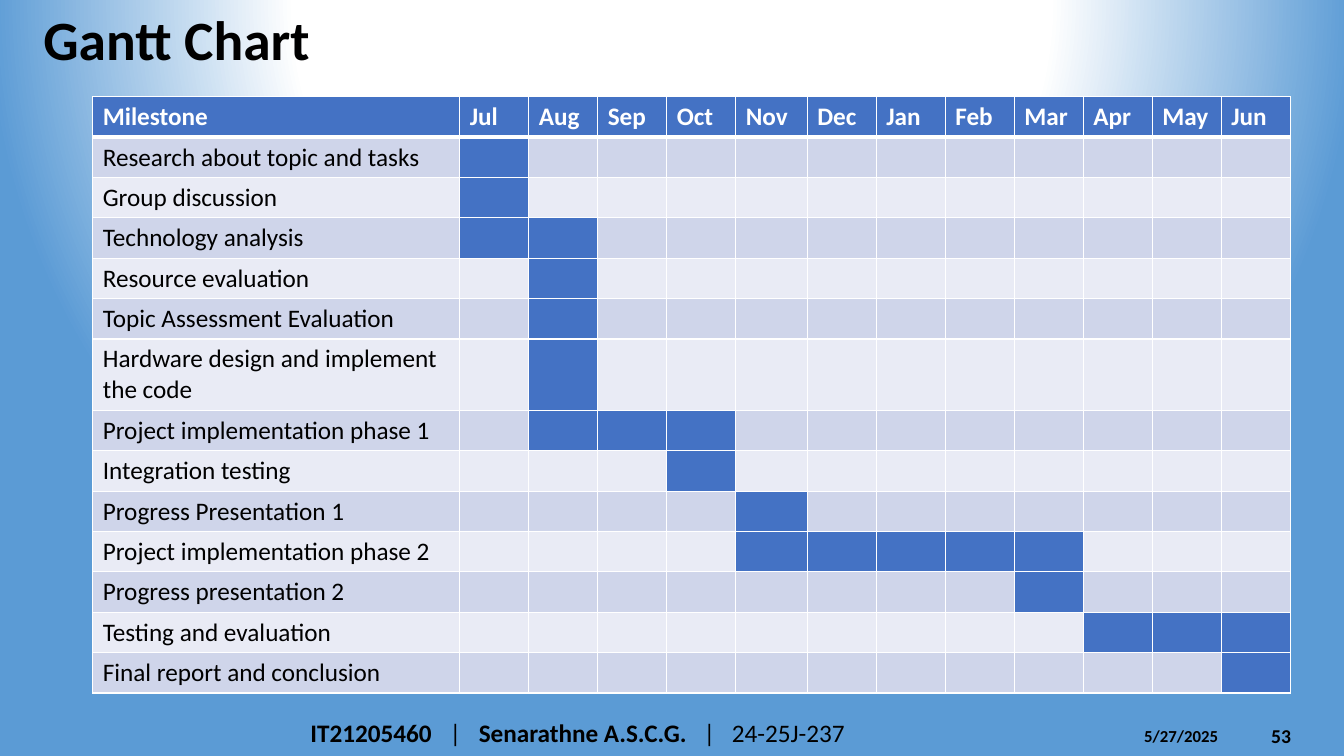
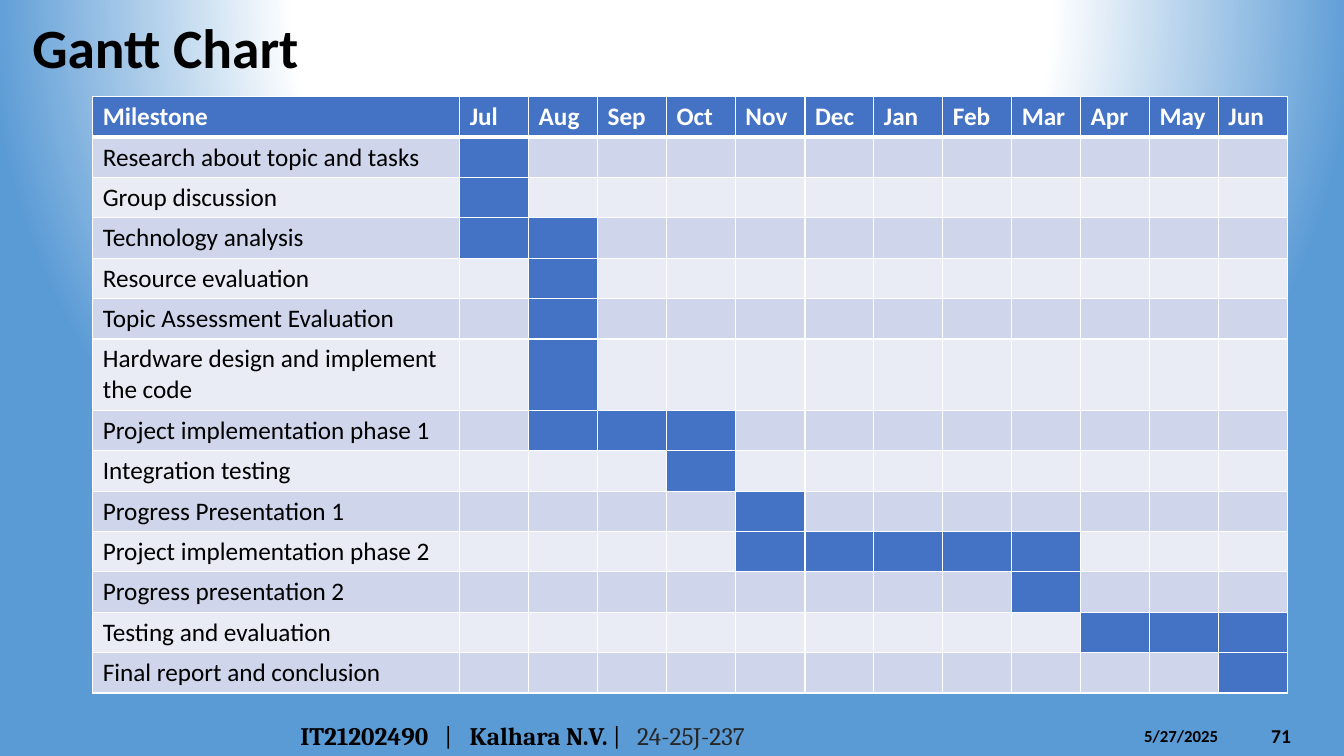
from lxml.etree import SubElement
from pptx import Presentation
from pptx.dml.color import RGBColor
from pptx.enum.text import MSO_ANCHOR, MSO_AUTO_SIZE, PP_ALIGN
from pptx.oxml import parse_xml
from pptx.oxml.ns import nsdecls, qn
from pptx.util import Inches, Pt

BLACK, WHITE, GREY = "000000", "FFFFFF", "262626"
BLUE, SKY = "4472C4", "5B9BD5"
BANDS = ("CFD5EA", "E9EBF5")
FONT = "Calibri"
MONTHS = ("Jul", "Aug", "Sep", "Oct", "Nov", "Dec",
          "Jan", "Feb", "Mar", "Apr", "May", "Jun")
MILESTONES = (
    ("Research about topic and tasks", "Jul", "Jul"),
    ("Group discussion", "Jul", "Jul"),
    ("Technology analysis", "Jul", "Aug"),
    ("Resource evaluation", "Aug", "Aug"),
    ("Topic Assessment Evaluation", "Aug", "Aug"),
    ("Hardware design and implement the code", "Aug", "Aug"),
    ("Project implementation phase 1", "Aug", "Oct"),
    ("Integration testing", "Oct", "Oct"),
    ("Progress Presentation 1", "Nov", "Nov"),
    ("Project implementation phase 2", "Nov", "Mar"),
    ("Progress presentation 2", "Mar", "Mar"),
    ("Testing and evaluation", "Apr", "Jun"),
    ("Final report and conclusion", "Jun", "Jun"),
)
MILESTONE_WIDTH = 3.64
ROW_HEIGHT, TWO_LINE_HEIGHT = 0.4, 0.71


def color(value):
    return RGBColor.from_string(value)


def style_font(font, size, fill=BLACK, bold=False, name=FONT):
    font.name = name
    font.size = Pt(size)
    font.bold = bold
    font.color.rgb = color(fill)


def set_background(master):
    master.background.fill.solid()
    properties = master.element.find(".//" + qn("p:bgPr"))
    stops = "".join(
        f'<a:gs pos="{position * 1000}"><a:srgbClr val="{fill}"/></a:gs>'
        for position, fill in ((0, WHITE), (49, WHITE), (89, SKY)))
    gradient = parse_xml(
        f'<a:gradFill {nsdecls("a")} rotWithShape="1"><a:gsLst>{stops}</a:gsLst>'
        '<a:path path="circle"><a:fillToRect l="50000" t="-80000" r="50000" b="180000"/>'
        '</a:path></a:gradFill>')
    properties.replace(properties.find(qn("a:solidFill")), gradient)


def place_title(slide, left, top):
    title = slide.shapes.title
    title.left, title.top = Inches(left), Inches(top)
    title.width, title.height = Inches(12.78), Inches(0.6)
    frame = title.text_frame
    frame.text = "Gantt Chart"
    frame.auto_size = MSO_AUTO_SIZE.NONE
    frame.vertical_anchor = MSO_ANCHOR.MIDDLE
    paragraph = frame.paragraphs[0]
    paragraph.alignment = PP_ALIGN.LEFT
    paragraph.line_spacing = 0.9
    style_font(paragraph.font, 39.6, bold=True)


def add_text_box(slide, left, top, width, height):
    box = slide.shapes.add_textbox(
        Inches(left), Inches(top), Inches(width), Inches(height))
    box.text_frame.word_wrap = True
    box.text_frame.vertical_anchor = MSO_ANCHOR.MIDDLE
    return box.text_frame.paragraphs[0]


def add_date_and_number(slide, number):
    labels = (("5/27/2025", 12, (11.25, 7.15, 1.17, 0.3)),
              (number, 14, (12.51, 7.1, 0.74, 0.4)))
    for text, size, box in labels:
        paragraph = add_text_box(slide, *box)
        paragraph.text = text
        style_font(paragraph.font, size, bold=True)


def add_author_line(slide, left, top, student, author, tabs, font_name, code_fill):
    paragraph = add_text_box(slide, left, top, 7.45, 0.4)
    tab_list = SubElement(paragraph._p.get_or_add_pPr(), qn("a:tabLst"))
    for position in tabs:
        SubElement(tab_list, qn("a:tab"), pos=str(Inches(position)), algn="l")
    parts = ((student, True, BLACK), ("\t|\t", False, BLACK),
             (author, True, BLACK), ("\t|\t", False, BLACK),
             ("24-25J-237", False, code_fill))
    for text, bold, fill in parts:
        run = paragraph.add_run()
        run.text = text
        style_font(run.font, 18, fill, bold, font_name)


def format_cell(cell, fill, top=1, bottom=1):
    properties = cell._tc.get_or_add_tcPr()
    for side, width in (("L", 1), ("R", 1), ("T", top), ("B", bottom)):
        line = SubElement(properties, qn(f"a:ln{side}"), w=str(Pt(width)))
        SubElement(SubElement(line, qn("a:solidFill")), qn("a:srgbClr"), val=WHITE)
    cell.fill.solid()
    cell.fill.fore_color.rgb = color(fill)


def write_cell(cell, text, fill, bold):
    cell.text = text
    style_font(cell.text_frame.paragraphs[0].font, 18, fill, bold)


def add_gantt_table(slide, left, top, width, november_width):
    heights = [ROW_HEIGHT] + [
        TWO_LINE_HEIGHT if name.startswith("Hardware") else ROW_HEIGHT
        for name, _, _ in MILESTONES]
    table = slide.shapes.add_table(
        len(heights), len(MONTHS) + 1, Inches(left), Inches(top),
        Inches(width), Inches(sum(heights))).table
    for row, height in zip(table.rows, heights):
        row.height = Inches(height)

    month_width = (width - MILESTONE_WIDTH - november_width) / (len(MONTHS) - 1)
    table.columns[0].width = Inches(MILESTONE_WIDTH)
    for column, month in enumerate(MONTHS, 1):
        table.columns[column].width = Inches(
            november_width if month == "Nov" else month_width)

    for column, heading in enumerate(("Milestone", *MONTHS)):
        cell = table.cell(0, column)
        format_cell(cell, BLUE, bottom=3)
        write_cell(cell, heading, WHITE, True)

    for row, (name, first, last) in enumerate(MILESTONES, 1):
        start, end = MONTHS.index(first) + 1, MONTHS.index(last) + 1
        for column in range(len(MONTHS) + 1):
            active = start <= column <= end
            format_cell(table.cell(row, column),
                        BLUE if active else BANDS[(row - 1) % 2],
                        top=3 if row == 1 else 1)
        write_cell(table.cell(row, 0), name, BLACK, False)


def add_gantt_slide(presentation, number, title_position, table_widths, author_line):
    slide = presentation.slides.add_slide(presentation.slide_layouts[5])
    add_date_and_number(slide, number)
    place_title(slide, *title_position)
    add_gantt_table(slide, 0.92, 0.96, *table_widths)
    add_author_line(slide, *author_line)


def main():
    presentation = Presentation()
    presentation.slide_width = Inches(13.33)
    presentation.slide_height = Inches(7.5)
    set_background(presentation.slide_master)
    add_gantt_slide(
        presentation, "53", (0.33, 0.12), (11.88, 0.71),
        (2.98, 7.07, "IT21205460", "Senarathne A.S.C.G.",
         (1.38, 1.67, 3.9, 4.18), FONT, BLACK))
    add_gantt_slide(
        presentation, "71", (0.22, 0.2), (11.85, 0.69),
        (2.88, 7.1, "IT21202490", "Kalhara N.V.",
         (1.43, 1.68, 3.1, 3.34), "Cambria", GREY))
    presentation.save("out.pptx")


if __name__ == "__main__":
    main()
